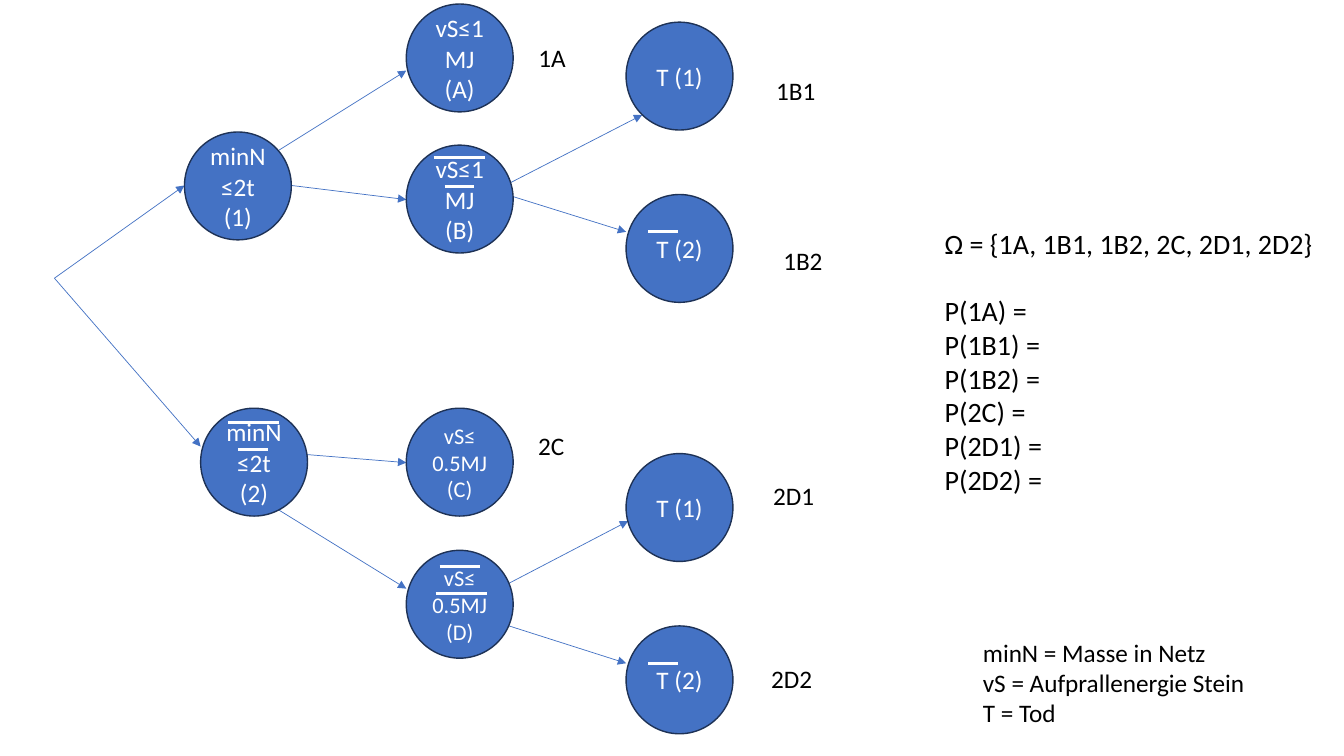
from lxml import etree
from pptx import Presentation
from pptx.dml.color import RGBColor
from pptx.enum.shapes import MSO_CONNECTOR, MSO_SHAPE
from pptx.enum.text import MSO_ANCHOR, MSO_AUTO_SIZE, PP_ALIGN
from pptx.oxml.ns import qn
from pptx.util import Inches, Pt

STRAIGHT = MSO_CONNECTOR.STRAIGHT
CIRCLE = MSO_SHAPE.FLOWCHART_CONNECTOR
MIDDLE = MSO_ANCHOR.MIDDLE
FIT_SHAPE = MSO_AUTO_SIZE.SHAPE_TO_FIT_TEXT
CENTER, LEFT = PP_ALIGN.CENTER, PP_ALIGN.LEFT

BLUE, NAVY, WHITE, BLACK = "4472C4", "1E3256", "FFFFFF", "000000"
ROOT = (0.54, 2.76)
MASS_1, MASS_2, ENERGY, DEATH = 1.83, 1.99, 4.03, 6.21
BRANCH_STEP = 4.28


def color(value):
    return RGBColor.from_string(value)


def write_lines(text_frame, lines, size, text_color, alignment):
    for index, line in enumerate(lines):
        paragraph = text_frame.paragraphs[0] if index == 0 else text_frame.add_paragraph()
        paragraph.alignment = alignment
        run = paragraph.add_run()
        run.text = line
        run.font.name = "Calibri"
        run.font.size = Pt(size)
        run.font.color.rgb = color(text_color)


presentation = Presentation()
presentation.slide_width = Inches(13.33)
presentation.slide_height = Inches(7.5)
slide = presentation.slides.add_slide(presentation.slide_layouts[6])

arrows = [
    (ROOT, (MASS_1, 1.84)),
    (ROOT, (MASS_2, 4.43)),
    ((2.75, 1.5), (ENERGY, 0.7)),
    ((2.89, 1.84), (ENERGY, 1.98)),
    ((2.8, 4.49), (ENERGY, 4.59)),
    ((2.75, 5.05), (ENERGY, 5.84)),
    ((4.99, 1.85), (6.37, 1.14)),
    ((4.83, 1.87), (DEATH, 2.3)),
    ((4.85, 5.89), (6.23, 5.17)),
    ((4.83, 6.14), (DEATH, 6.58)),
]
nodes = [
    (MASS_1, 1.31, ["minN≤2t (1)"], 18),
    (MASS_2, 4.05, ["minN≤2t (2)"], 18),
    (ENERGY, 0.04, ["vS≤1MJ (A)"], 18),
    (ENERGY, 1.44, ["vS≤1MJ (B)"], 18),
    (ENERGY, 4.05, ["vS≤", "0.5MJ (C)"], 16),
    (ENERGY, 5.46, ["vS≤", "0.5MJ (D)"], 16),
]
overlines = [
    (4.3, 4.81, 1.56),
    (4.41, 4.7, 1.85),
    (2.26, 2.77, 4.19),
    (2.36, 2.66, 4.46),
    (4.36, 4.76, 5.62),
    (4.32, 4.83, 5.89),
]
for offset in (0, BRANCH_STEP):
    nodes.append((DEATH, 0.22 + offset, ["T (1)"], 18))
    nodes.append((DEATH, 1.93 + offset, ["T (2)"], 18))
    overlines.append((6.43, 6.72, 2.3 + offset))

arrow_strokes = [(start, end, BLUE, 0.5) for start, end in arrows]
overline_strokes = [((left, y), (right, y), WHITE, 2.25) for left, right, y in overlines]

for strokes, circles in ((arrow_strokes, nodes), (overline_strokes, [])):
    for start, end, line_color, width in strokes:
        connector = slide.shapes.add_connector(
            STRAIGHT, *[Inches(value) for value in start + end])
        connector.line.color.rgb = color(line_color)
        connector.line.width = Pt(width)
        if strokes is arrow_strokes:
            line = connector.line._get_or_add_ln()
            etree.SubElement(line, qn("a:tailEnd"), type="triangle")
        etree.SubElement(connector._element.spPr, qn("a:effectLst"))

    for left, top, lines, size in circles:
        shape = slide.shapes.add_shape(
            CIRCLE, Inches(left), Inches(top), Inches(1.06), Inches(1.07))
        shape.shadow.inherit = False
        shape.fill.solid()
        shape.fill.fore_color.rgb = color(BLUE)
        shape.line.color.rgb = color(NAVY)
        shape.line.width = Pt(1)
        shape.text_frame.word_wrap = True
        shape.text_frame.vertical_anchor = MIDDLE
        write_lines(shape.text_frame, lines, size, WHITE, CENTER)

outcomes = ["1A", "1B1", "1B2", "2C", "2D1", "2D2"]
sample_space = ["Ω = {" + ", ".join(outcomes) + "}"]
sample_space += [f"P({outcome}) =" for outcome in outcomes]
legend = ["minN = Masse in Netz", "vS = Aufprallenergie Stein", "T = Tod"]

texts = [
    (9.65, 6.27, 3.68, 1.01, legend, 18, True),
    (9.27, 2.2, 3.88, 2.79, sample_space, 20, False),
]
label_places = [(5.24, 0.37, 0.48), (7.6, 0.7, 0.59), (7.67, 2.38, 0.59),
                (5.24, 4.22, 0.46), (7.57, 4.72, 0.61), (7.55, 6.53, 0.61)]
for outcome, (left, top, width) in zip(outcomes, label_places):
    texts.append((left, top, width, 0.4, [outcome], 18, False))

for left, top, width, height, lines, size, wrap in texts:
    text_box = slide.shapes.add_textbox(
        Inches(left), Inches(top), Inches(width), Inches(height))
    text_box.text_frame.word_wrap = wrap
    text_box.text_frame.auto_size = FIT_SHAPE
    write_lines(text_box.text_frame, lines, size, BLACK, LEFT)
    if lines is sample_space:
        text_box.text_frame.paragraphs[1].space_before = Pt(24)

presentation.save("out.pptx")
